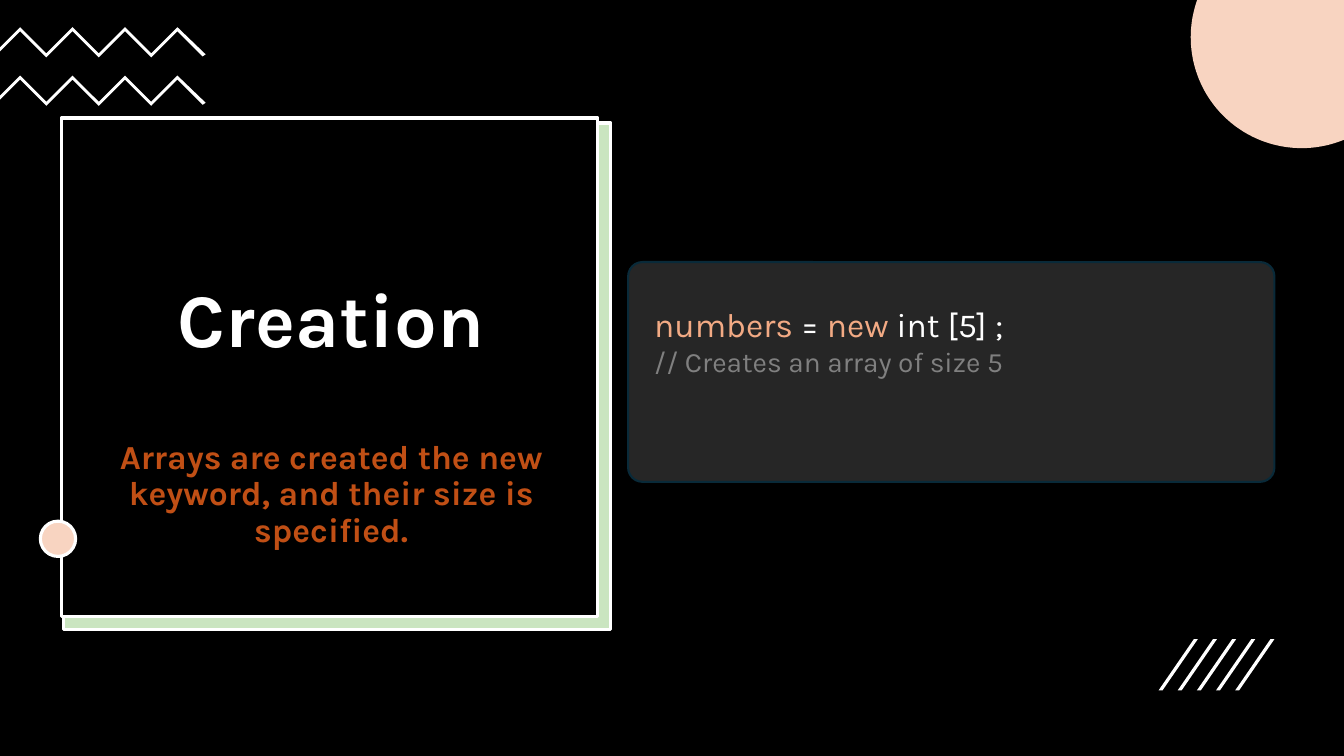
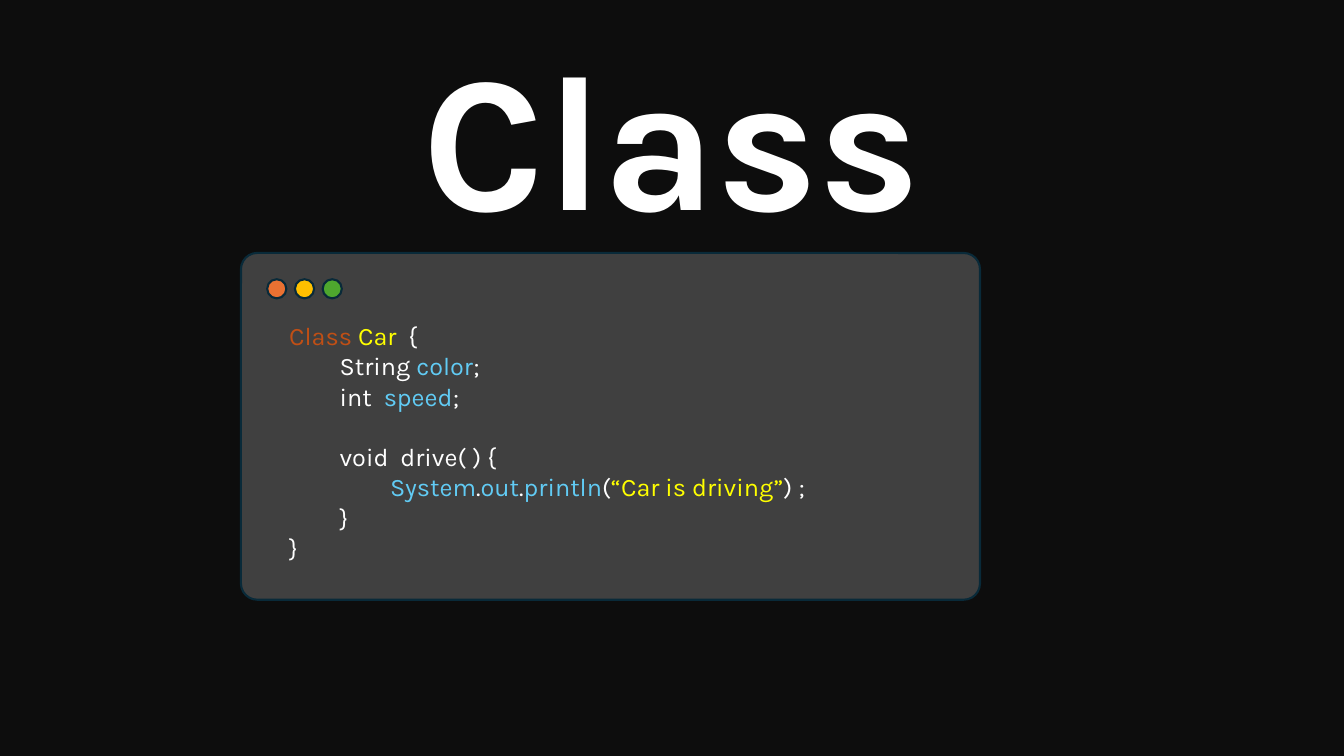
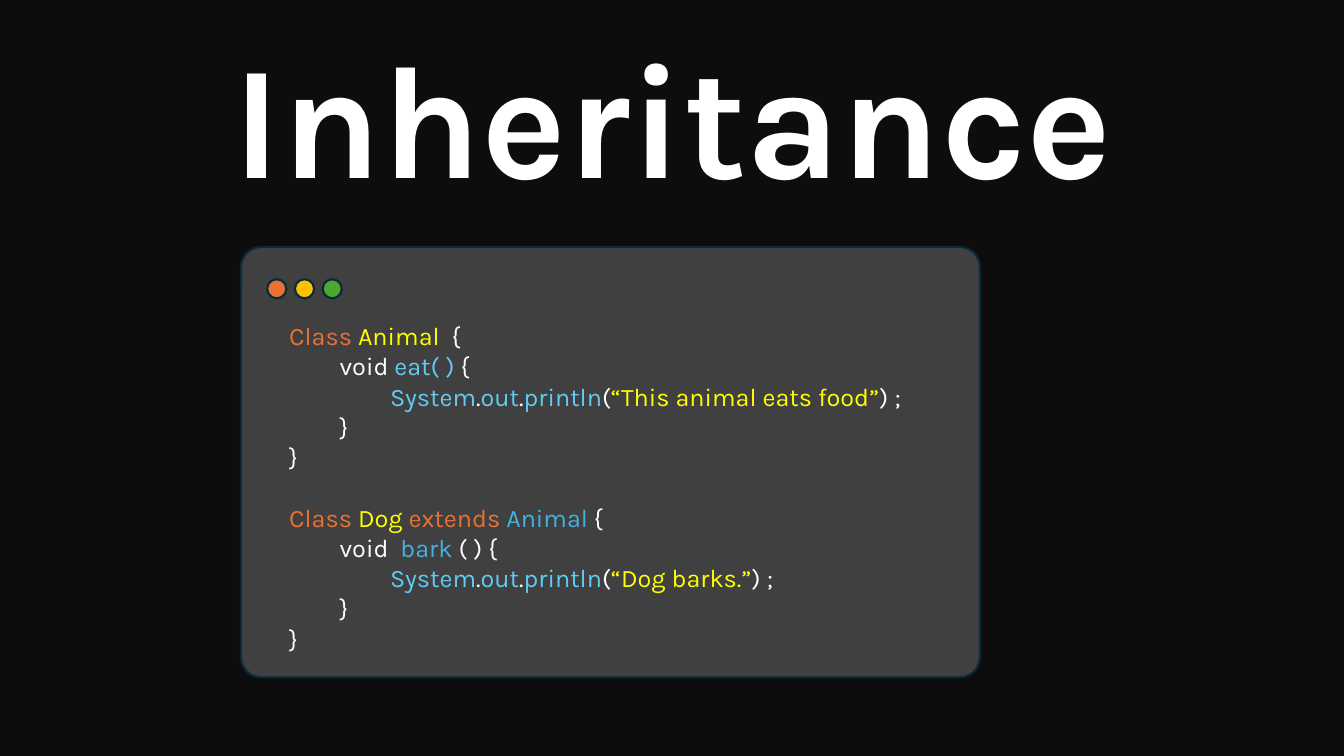
import math
from pptx import Presentation
from pptx.dml.color import RGBColor
from pptx.enum import shapes, text
from pptx.util import Inches, Pt

FONT = "Karla"
WHITE = RGBColor(0xFF, 0xFF, 0xFF)
BLACK = RGBColor(0, 0, 0)
INK = RGBColor(0x0D, 0x0D, 0x0D)
PANEL = RGBColor(0x40, 0x40, 0x40)
DARK_PANEL = RGBColor(0x26, 0x26, 0x26)
NAVY = RGBColor(0x09, 0x2A, 0x39)
PEACH = RGBColor(0xF8, 0xD4, 0xC1)
MINT = RGBColor(0xCA, 0xE5, 0xC0)
RUST = RGBColor(0xC0, 0x4F, 0x15)
ORANGE = RGBColor(0xE9, 0x71, 0x32)
SALMON = RGBColor(0xF2, 0xAA, 0x84)
AMBER = RGBColor(0xFF, 0xC0, 0)
GREEN = RGBColor(0x4E, 0xA7, 0x2E)
YELLOW = RGBColor(0xFF, 0xFF, 0)
SKY = RGBColor(0x61, 0xCB, 0xF4)
BLUE = RGBColor(0x46, 0xB1, 0xE1)
GREY = RGBColor(0x80, 0x80, 0x80)

RECT = shapes.MSO_SHAPE.RECTANGLE
ROUND = shapes.MSO_SHAPE.ROUNDED_RECTANGLE
OVAL = shapes.MSO_SHAPE.OVAL
SLASH = shapes.MSO_SHAPE.PARALLELOGRAM

W, H = 13.33, 7.5
TAB = 0.5
CODE_SIZE = 18
BLANK_LINE = 21.6


def println(message):
    return [("System", SKY), (".", WHITE), ("out", SKY), (".", WHITE), ("println", SKY),
            ("(", WHITE), (message, YELLOW), (") ;", WHITE)]


CREATION = "Arrays are created the new keyword, and their size is specified."
CREATION_CODE = [
    [("numbers", SALMON), (" = ", WHITE), ("new", SALMON), (" int [5] ;", WHITE)],
    [("// Creates an array of size 5", GREY)],
]
CODE_SLIDES = [
    dict(title="Class", size=138, title_h=2.42, top=2.51, height=3.44, code=[
        (0, 0, [("Class ", RUST), ("Car", YELLOW), ("  {", WHITE)]),
        (1, 0, [("String ", WHITE), ("color", SKY), (";", WHITE)]),
        (1, 0, [("int  ", WHITE), ("speed", SKY), (";", WHITE)]),
        (1, BLANK_LINE, [("void  drive( ) {", WHITE)]),
        (2, 0, println("“Car is driving”")),
        (1, 0, [("}", WHITE)]),
        (0, 0, [("}", WHITE)]),
    ]),
    dict(title="Inheritance", size=115, title_h=2.04, top=2.45, height=4.27, code=[
        (0, 0, [("Class ", ORANGE), ("Animal", YELLOW), ("  {", WHITE)]),
        (1, 0, [("void ", WHITE), ("eat( )", SKY), (" {", WHITE)]),
        (2, 0, println("“This animal eats food”")),
        (1, 0, [("}", WHITE)]),
        (0, 0, [("}", WHITE)]),
        (0, BLANK_LINE, [("Class ", ORANGE), ("Dog ", YELLOW), ("extends ", ORANGE),
                         ("Animal", BLUE), (" {", WHITE)]),
        (1, 0, [("void  ", WHITE), ("bark ", BLUE), ("( ) {", WHITE)]),
        (2, 0, println("“Dog barks.”")),
        (1, 0, [("}", WHITE)]),
        (0, 0, [("}", WHITE)]),
    ]),
]


def new_slide(prs, color):
    s = prs.slides.add_slide(prs.slide_layouts[6])
    s.background.fill.solid()
    s.background.fill.fore_color.rgb = color
    return s


def paint(sp, fill, line=None, width=1.5):
    sp.shadow.inherit = False
    sp.fill.solid()
    sp.fill.fore_color.rgb = fill
    if line is None:
        sp.line.fill.background()
    else:
        sp.line.color.rgb = line
        sp.line.width = Pt(width)


def add_box(s, kind, x, y, w, h, fill, line=None, width=1.5, adj=None):
    sp = s.shapes.add_shape(kind, Inches(x), Inches(y), Inches(w), Inches(h))
    if adj is not None:
        sp.adjustments[0] = adj
    paint(sp, fill, line, width)


def add_outline(s, points, fill):
    points = [(Inches(x), Inches(y)) for x, y in points]
    builder = s.shapes.build_freeform(*points[0])
    builder.add_line_segments(points[1:], close=True)
    paint(builder.convert_to_shape(), fill)


def add_frame(s, x, y, w, h, anchor=text.MSO_ANCHOR.TOP):
    tf = s.shapes.add_textbox(Inches(x), Inches(y), Inches(w), Inches(h)).text_frame
    tf.word_wrap = True
    tf.vertical_anchor = anchor
    return tf


def add_text(tf, runs, size, bold=False, align=None, spacing=None, before=0, after=0, indent=0):
    p = tf.paragraphs[0]
    if p.runs:
        p = tf.add_paragraph()
    if indent:
        p._p.get_or_add_pPr().set("marL", str(Inches(indent)))
    p.alignment = align
    p.line_spacing = spacing
    if before:
        p.space_before = Pt(before)
    if after:
        p.space_after = Pt(after)
    for words, color in runs:
        r = p.add_run()
        r.text = words
        r.font.name = FONT
        r.font.size = Pt(size)
        r.font.bold = bold
        r.font.color.rgb = color


def add_zigzag(s, top):
    step, thick = 0.26, 0.04
    upper = [(0.2 + step * i, top + step * (i % 2)) for i in range(7)]
    lower = [(x, y + thick) for x, y in reversed(upper)]
    add_outline(s, upper + [(2.04, top + 0.27), (2.01, top + 0.29)] + lower
                + [(0, top + 0.24), (0, top + 0.2)], WHITE)


def add_corner_disc(s, cx, cy, radius):
    start = math.acos((W - cx) / radius)
    end = math.pi + math.asin(cy / radius)
    steps = 60
    angles = [start + (end - start) * i / steps for i in range(steps + 1)]
    arc = [(cx + radius * math.cos(a), cy + radius * math.sin(a)) for a in angles]
    add_outline(s, arc + [(W, 0)], PEACH)


def creation_slide(prs):
    s = new_slide(prs, BLACK)
    center = text.PP_ALIGN.CENTER
    for top in (0.27, 0.75):
        add_zigzag(s, top)
    add_box(s, RECT, 0.63, 1.22, 5.43, 5.03, MINT, WHITE, 2.25)
    add_box(s, RECT, 0.61, 1.17, 5.32, 4.95, BLACK, WHITE, 2.25)
    tf = add_frame(s, 0.92, 1.88, 4.73, 1.78, text.MSO_ANCHOR.BOTTOM)
    add_text(tf, [("Creation", WHITE)], 54, bold=True, align=center, spacing=0.9, after=6)
    tf = add_frame(s, 0.92, 4.32, 4.73, 1.31)
    add_text(tf, [(CREATION, RUST)], 24, bold=True, align=center, spacing=0.9)
    add_corner_disc(s, 12.91, 0.37, 1.1)
    add_box(s, OVAL, 0.4, 5.17, 0.35, 0.35, PEACH, WHITE, 2.25)
    for i in range(5):
        add_box(s, SLASH, 11.49 + 0.19 * i, 6.34, 0.39, 0.51, WHITE, adj=0.9)
    add_box(s, ROUND, 6.23, 2.6, 6.41, 2.18, DARK_PANEL, NAVY, adj=0.065)
    tf = add_frame(s, 6.39, 2.97, 6.06, 0.84)
    for runs, size in zip(CREATION_CODE, (24, 20)):
        add_text(tf, runs, size)


def code_slide(prs, title, size, title_h, top, height, code):
    s = new_slide(prs, INK)
    tf = add_frame(s, 0.73, 0.12, 11.87, title_h)
    add_text(tf, [(title, WHITE)], size, bold=True, align=text.PP_ALIGN.CENTER)
    add_box(s, ROUND, 2.39, top, 7.33, height, PANEL, NAVY, adj=0.047)
    for i, color in enumerate((ORANGE, AMBER, GREEN)):
        add_box(s, OVAL, 2.65 + 0.275 * i, 2.77, 0.19, 0.19, color, NAVY)
    tf = add_frame(s, 2.77, 3.13, 6.57, top + height - 3.3)
    for level, before, runs in code:
        add_text(tf, runs, CODE_SIZE, before=before, indent=level * TAB)


def main():
    prs = Presentation()
    prs.slide_width, prs.slide_height = Inches(W), Inches(H)
    creation_slide(prs)
    for content in CODE_SLIDES:
        code_slide(prs, **content)
    prs.save("out.pptx")


if __name__ == "__main__":
    main()
